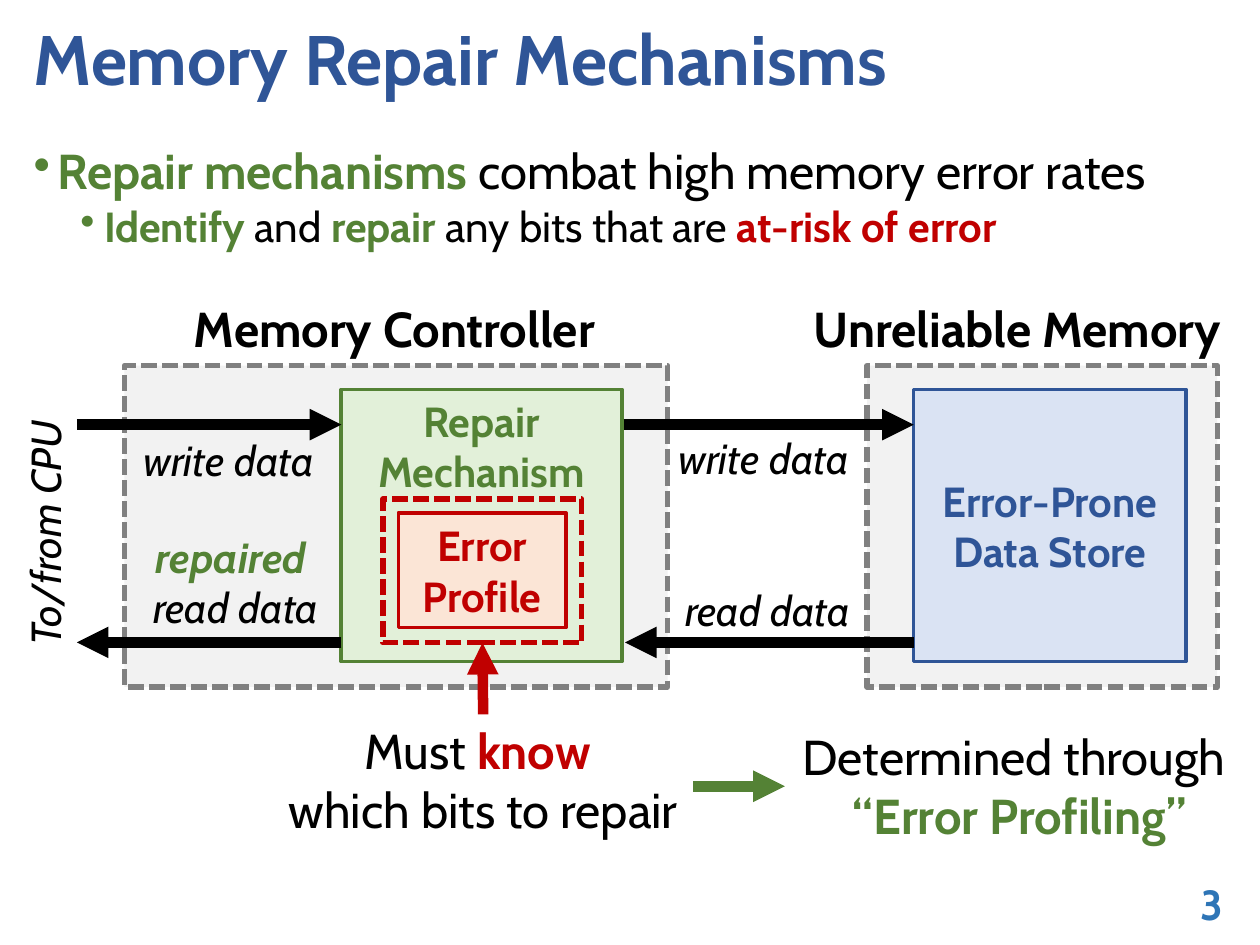
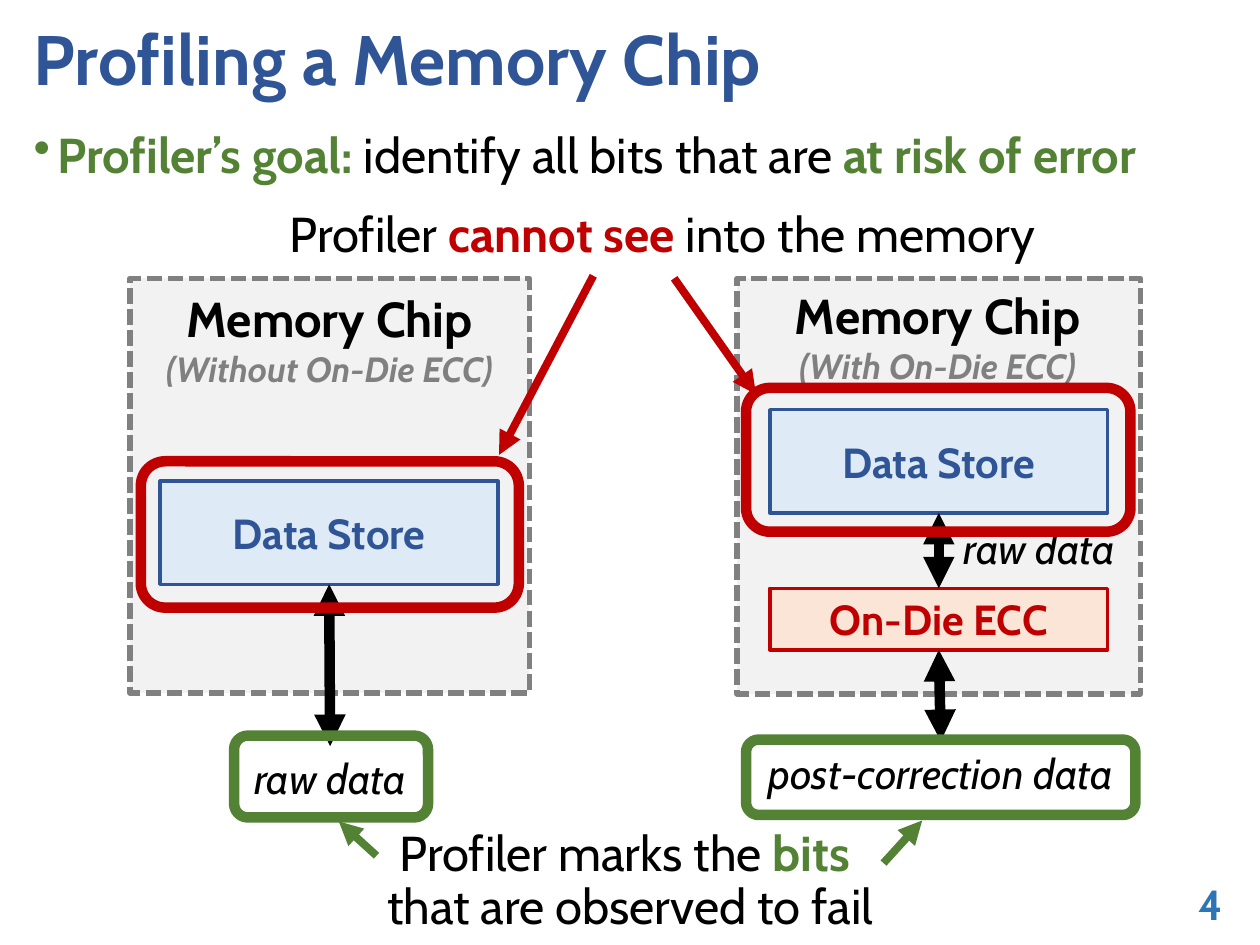
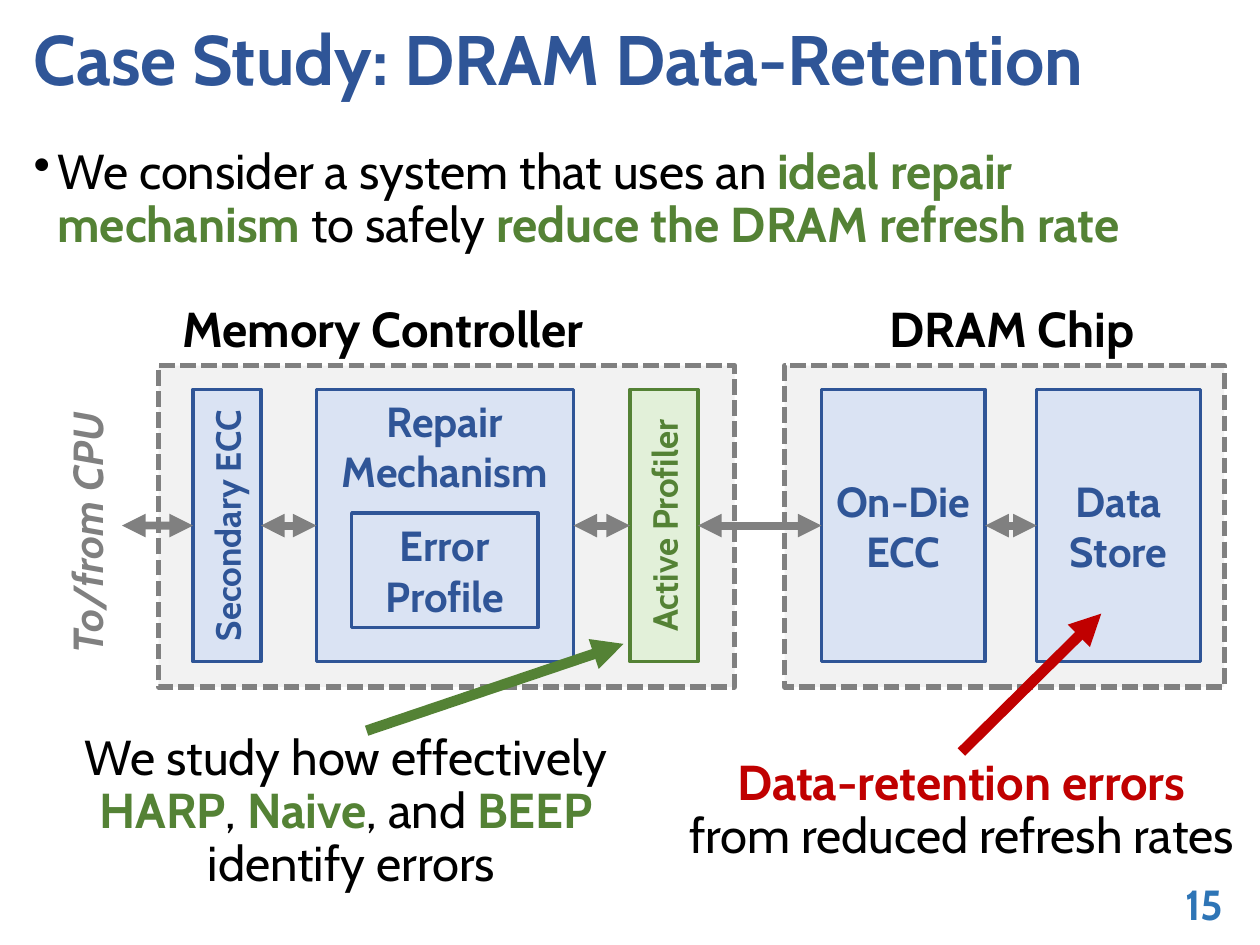
from collections import namedtuple
from lxml import etree
from pptx import Presentation
from pptx.dml.color import RGBColor
from pptx.enum.dml import MSO_LINE
from pptx.enum.shapes import MSO_CONNECTOR, MSO_SHAPE
from pptx.enum.text import MSO_ANCHOR, PP_ALIGN
from pptx.oxml.ns import qn
from pptx.util import Cm, Pt

STRAIGHT = MSO_CONNECTOR.STRAIGHT
RECT, ROUND = MSO_SHAPE.RECTANGLE, MSO_SHAPE.ROUNDED_RECTANGLE
DASH = MSO_LINE.SQUARE_DOT
TOP, MID = MSO_ANCHOR.TOP, MSO_ANCHOR.MIDDLE
LEFT, CENTER, RIGHT = PP_ALIGN.LEFT, PP_ALIGN.CENTER, PP_ALIGN.RIGHT

FONT = "Cabin"
BLACK, GRAY, BLUE = "000000", "808080", "2F5597"
GREEN, RED, PAGE = "548235", "C00000", "2E75B6"

# Text styles
Style = namedtuple("Style", "size ink bold slant pitch", defaults=(False, False, None))
STYLES = {
    "title": Style(40, BLUE, True, pitch=0.9),
    "page": Style(24, PAGE, True),
    "point": Style(28, BLACK, pitch=0.9),
    "sub": Style(24, BLACK, pitch=0.9),
    "head": Style(28, BLACK, True),
    "aside": Style(20, GREEN and GRAY, True, True),
    "flow": Style(24, BLACK, slant=True),
    "fixed": Style(24, GREEN, True, True),
    "axis": Style(24, GRAY, True, True),
    "say": Style(28, BLACK),
    "good": Style(28, GREEN, True),
    "tight": Style(28, BLACK, pitch=0.9),
    "bad": Style(28, RED, True, pitch=0.9),
    "blue": Style(24, BLUE, True),
    "green": Style(24, GREEN, True),
    "red": Style(24, RED, True),
    "slim blue": Style(20, BLUE, True),
    "slim green": Style(20, GREEN, True),
}

# Box looks: outline, fill, line colour, line width, dash
LOOKS = {
    "pane": (RECT, "F2F2F2", GRAY, 3, DASH),
    "blue": (RECT, "DAE3F3", BLUE, 2, None),
    "sky": (RECT, "DEEBF7", BLUE, 2, None),
    "green": (RECT, "E2F0D9", GREEN, 2, None),
    "red": (RECT, "FBE5D6", RED, 2, None),
    "frame": (RECT, None, RED, 3, DASH),
    "red ring": (ROUND, None, RED, 6, None),
    "green ring": (ROUND, None, GREEN, 6, None),
}

# A line of text is (style, run, ...); a run is plain text or (bold text, colour).
# A link end is (x, y) or (box key, side).
Box = namedtuple("Box", "key look place lines anchor upright", defaults=((), MID, False))
Note = namedtuple("Note", "key place lines anchor turn", defaults=(TOP, 0))
Link = namedtuple("Link", "start end ink width both", defaults=(6, False))

# Bands shared by the block diagrams: top, height
HEAD, PANE, CORE = (5.89, 1.45), (7.37, 6.48), (7.85, 5.49)
WRITE, READ = 8.56, 12.95
MIDDLE = CORE[0] + CORE[1] / 2
UP, WEST, DOWN, EAST = 0, 1, 2, 3


def row(x, width, band):
    return x, band[0], width, band[1]


def cpu(x, style):
    return Note("cpu", (x, 10.11, 5.59, 1.27), [(style, "To/from CPU")], turn=270)


def chip(x, top, kind):
    return Note("head", (x, top, 10.03, 2.31),
                [("head", "Memory Chip"), ("aside", f"({kind} On-Die ECC)")])


def flow(key, x, top, width, text):
    return Note(key, (x, top, width, 1.27), [("flow", text)])


REPAIR = [
    Box("pane", "pane", row(2.51, 10.95, PANE)),
    Note("head", row(2.97, 9.96, HEAD), [("head", "Memory Controller")]),
    Box("repair", "green", row(6.88, 5.66, CORE), [("green", "Repair Mechanism")], TOP),
    Box("profile", "red", (8.03, 10.34, 3.38, 2.31), [("red", "Error Profile")]),
    Box("memory", "pane", row(17.48, 7.06, PANE)),
    Note("head", row(15.49, 10.03, HEAD), [("head", "Unreliable Memory")]),
    Box("store", "blue", row(18.42, 5.49, CORE),
        [("blue", "Error-Prone"), ("blue", "Data Store")]),
    Link((6.88, READ), (1.55, READ), BLACK),
    flow("read", 12.73, 11.66, 5.49, "read data"),
    Note("fixed", (2.01, 10.59, 5.49, 2.31),
         [("fixed", "repaired "), ("flow", "read data")]),
    Link((18.42, READ), (12.6, READ), BLACK),
    Link((1.55, WRITE), (6.88, WRITE), BLACK),
    flow("write", 12.65, 8.59, 5.49, "write data"),
    flow("write", 2.44, 8.64, 4.34, "write data"),
    cpu(-1.9, "flow"),
    Link((12.57, WRITE), (18.42, WRITE), BLACK),
    Note("how", (15.57, 14.53, 9.96, 2.64),
         [("say", "Determined through "), ("good", "“Error Profiling”")]),
    Link((13.97, 15.85), (15.82, 15.85), GREEN),
    Note("must", (5.23, 14.4, 9.02, 2.64),
         [("say", "Must ", ("know ", RED)), ("say", "which bits to repair")]),
    Box("frame", "frame", (7.72, 10.06, 4.01, 2.9)),
    Link(("must", UP), ("frame", DOWN), RED),
]

CHIPS = [
    Box("bare", "pane", (2.62, 5.61, 8.05, 8.36)),
    chip(1.63, 5.69, "Without"),
    Box("store", "sky", (3.23, 9.7, 6.81, 2.08), [("blue", "Data Store")]),
    flow("raw", 3.91, 15.04, 5.49, "raw data"),
    Link(("store", DOWN), ("raw", UP), BLACK, both=True),
    Box("coded", "pane", (14.86, 5.61, 8.13, 8.38)),
    chip(13.89, 5.64, "With"),
    Box("cells", "sky", (15.52, 8.26, 6.81, 2.08), [("blue", "Data Store")]),
    Box("ecc", "red", (15.52, 11.86, 6.81, 1.24), [("red", "On-Die ECC")]),
    flow("post", 14.71, 14.94, 8.51, "post-correction data"),
    Link(("ecc", DOWN), ("post", UP), BLACK, both=True),
    Link(("cells", DOWN), ("ecc", UP), BLACK, both=True),
    flow("inner", 19.1, 10.41, 3.71, "raw data"),
    Note("marks", (7.09, 16.64, 11.23, 2.29),
         [("tight", "Profiler marks the ", ("bits ", GREEN)),
          ("tight", "that are observed to fail")], MID),
    Box("ring", "green ring", (4.72, 14.83, 3.91, 1.65)),
    Link((7.59, 17.25), (6.83, 16.56), GREEN, 4.5),
    Box("ring", "green ring", (15.04, 14.91, 7.85, 1.52)),
    Link((17.81, 17.4), (18.59, 16.54), GREEN, 4.5),
    Note("blind", (2.06, 4.11, 22.58, 1.3),
         [("tight", "Profiler ", ("cannot see", RED), " into the memory")], MID),
    Box("ring", "red ring", (2.84, 9.3, 7.62, 2.95)),
    Link((11.96, 5.56), (10.06, 9.17), RED, 4.5),
    Box("ring", "red ring", (15.04, 7.82, 7.75, 2.9)),
    Link((13.59, 5.61), (15.24, 7.95), RED, 4.5),
]

CHAIN = ["second", "repair", "active", "ecc", "store"]
STUDY = [
    Box("dram", "pane", row(15.82, 8.86, PANE)),
    Note("head", row(17.48, 5.84, HEAD), [("head", "DRAM Chip")]),
    Box("store", "blue", row(20.9, 3.3, CORE), [("blue", "Data Store")]),
    Box("ecc", "blue", row(16.56, 3.3, CORE), [("blue", "On-Die ECC")]),
    Box("pane", "pane", row(3.2, 11.61, PANE)),
    Note("head", row(2.74, 9.96, HEAD), [("head", "Memory Controller")]),
    Box("repair", "blue", row(6.38, 5.18, CORE), [("blue", "Repair Mechanism")], TOP),
    Box("profile", "blue", (7.09, 10.34, 3.76, 2.31), [("blue", "Error Profile")]),
    cpu(-1.04, "axis"),
    Box("active", "green", row(12.7, 1.37, CORE),
        [("slim green", "Active Profiler")], upright=True),
    Box("second", "blue", row(3.89, 1.37, CORE),
        [("slim blue", "Secondary ECC")], upright=True),
    Link((2.46, MIDDLE), ("second", WEST), GRAY, 4.5, True),
    *[Link((a, EAST), (b, WEST), GRAY, 4.5, True) for a, b in zip(CHAIN, CHAIN[1:])],
    Note("study", (0.76, 14.66, 12.65, 3.48),
         [("tight", "We study how effectively "),
          ("tight", ("HARP", GREEN), ",", (" Naive", GREEN), ", and ", ("BEEP ", GREEN)),
          ("tight", "identify errors")]),
    Link((7.39, 14.73), (12.57, 12.98), GREEN),
    Note("errors", (13.21, 15.16, 12.34, 2.41),
         [("bad", "Data-retention errors"), ("tight", "from reduced refresh rates")]),
    Link(("errors", UP), (22.2, 12.37), RED),
]

# Title, page number, top of the bullets, bullets, parts
SLIDES = [
    ("Memory Repair Mechanisms", 3, 2.84,
     [("point", ("Repair mechanisms ", GREEN), "combat high memory error rates"),
      ("sub", ("Identify ", GREEN), "and ", ("repair ", GREEN),
       "any bits that are ", ("at-risk of error", RED))], REPAIR),
    ("Profiling a Memory Chip", 4, 2.51,
     [("point", ("Profiler’s goal: ", GREEN), "identify all bits that are ",
       ("at risk of error", GREEN))], CHIPS),
    ("Case Study: DRAM Data-Retention", 15, 2.84,
     [("point", "We consider a system that uses an ", ("ideal repair mechanism ", GREEN),
       "to safely ", ("reduce the DRAM refresh rate", GREEN))], STUDY),
]


def rgb(ink):
    return RGBColor.from_string(ink)


def bullet(par, level, ink):
    par.level = level
    props = par._p.get_or_add_pPr()
    props.set("marL", str(Cm((0.48, 1.42)[level])))
    props.set("indent", str(-Cm(0.48)))
    tint = etree.SubElement(props, qn("a:buClr"))
    etree.SubElement(tint, qn("a:srgbClr"), val=ink)
    etree.SubElement(props, qn("a:buChar"), char="•")


def write(shape, lines, align=CENTER, anchor=TOP, bullets=False):
    frame = shape.text_frame
    frame.word_wrap = True
    frame.vertical_anchor = anchor
    for i, (name, *runs) in enumerate(lines):
        style = STYLES[name]
        par = frame.add_paragraph() if i else frame.paragraphs[0]
        par.alignment = align
        if style.pitch:
            par.line_spacing = style.pitch
        if bullets:
            if i:
                par.space_before = Pt(3.8)
            first = runs[0]
            bullet(par, int(name == "sub"), style.ink if isinstance(first, str) else first[1])
        font = par.font
        font.name, font.size = FONT, Pt(style.size)
        font.bold, font.italic = style.bold, style.slant
        font.color.rgb = rgb(style.ink)
        for part in runs:
            run = par.add_run()
            if isinstance(part, str):
                run.text = part
            else:
                run.text = part[0]
                run.font.bold = True
                run.font.color.rgb = rgb(part[1])


def add_note(slide, note, align=CENTER, bullets=False):
    shape = slide.shapes.add_textbox(*map(Cm, note.place))
    shape.rotation = note.turn
    write(shape, note.lines, align, note.anchor, bullets)
    return shape


def add_box(slide, box):
    form, fill, ink, width, dash = LOOKS[box.look]
    shape = slide.shapes.add_shape(form, *map(Cm, box.place))
    shape.shadow.inherit = False
    if fill:
        shape.fill.solid()
        shape.fill.fore_color.rgb = rgb(fill)
    else:
        shape.fill.background()
    shape.line.color.rgb = rgb(ink)
    shape.line.width = Pt(width)
    if dash:
        shape.line.dash_style = dash
    write(shape, box.lines, anchor=box.anchor)
    if box.upright:
        shape.element.txBody.bodyPr.set("vert", "vert270")
    return shape


def add_link(slide, link, made):
    def joined(end):
        return isinstance(end[0], str)

    spots = [0 if joined(end) else Cm(v) for end in (link.start, link.end) for v in end]
    line = slide.shapes.add_connector(STRAIGHT, *spots)
    if joined(link.start):
        line.begin_connect(made[link.start[0]], link.start[1])
    if joined(link.end):
        line.end_connect(made[link.end[0]], link.end[1])
    line.line.color.rgb = rgb(link.ink)
    line.line.width = Pt(link.width)
    props = line.element.spPr
    stroke = props.find(qn("a:ln"))
    for tip in ("headEnd", "tailEnd") if link.both else ("tailEnd",):
        etree.SubElement(stroke, qn("a:" + tip), type="triangle")
    etree.SubElement(props, qn("a:effectLst"))


def add_slide(deck, title, page, top, points, parts):
    slide = deck.slides.add_slide(deck.slide_layouts[6])
    add_note(slide, Note("title", (0.43, 0.23, 24.49, 2.08), [("title", title)], MID), LEFT)
    add_note(slide, Note("points", (0.43, top, 24.49, 2.6), points), LEFT, True)
    add_note(slide, Note("page", (19.2, 17.58, 5.71, 1.47), [("page", str(page))]), RIGHT)
    made = {}
    for part in parts:
        if isinstance(part, Link):
            add_link(slide, part, made)
        else:
            add = add_box if isinstance(part, Box) else add_note
            made[part.key] = add(slide, part)


def main():
    deck = Presentation()
    deck.slide_width, deck.slide_height = Cm(25.4), Cm(19.05)
    for content in SLIDES:
        add_slide(deck, *content)
    deck.save("out.pptx")


if __name__ == "__main__":
    main()
